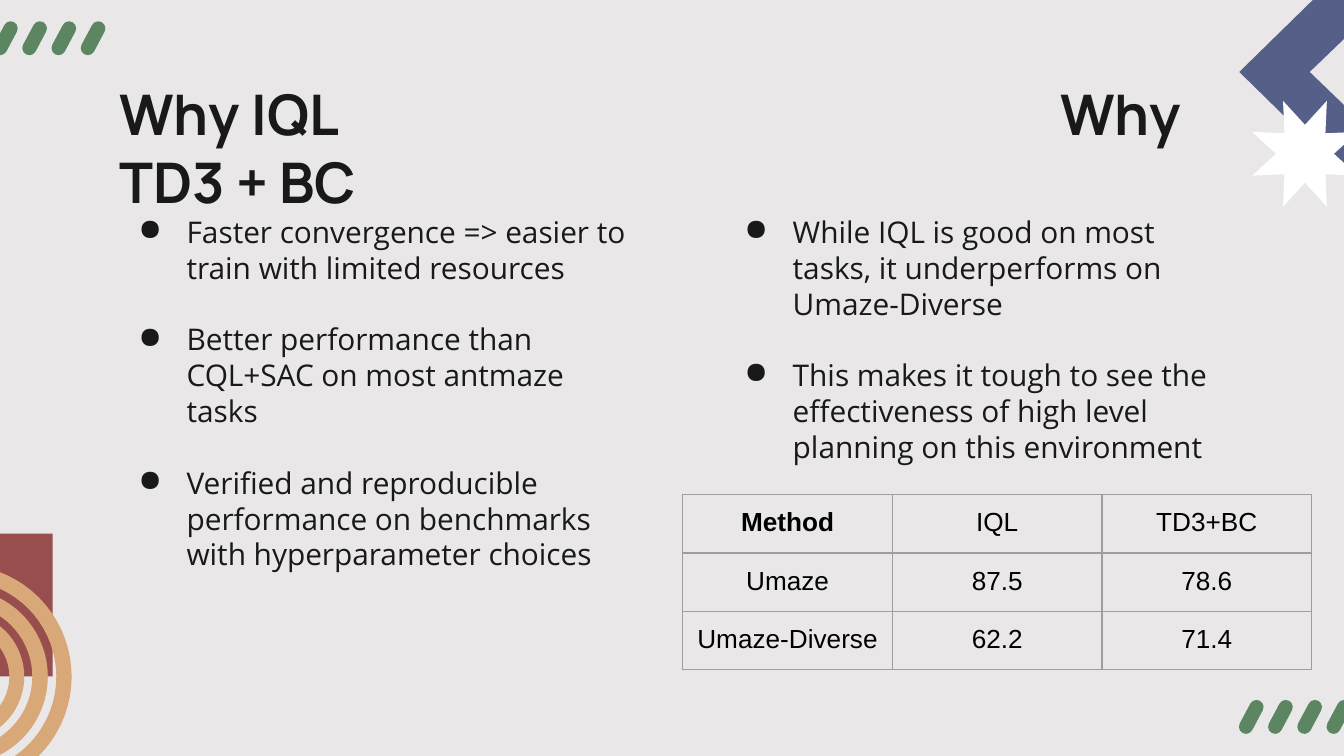
from dataclasses import dataclass
from math import cos, radians, sin

from lxml import etree
from pptx import Presentation
from pptx.dml.color import RGBColor
from pptx.enum import shapes, text
from pptx.oxml import ns
from pptx.util import Pt

INK, GREEN, SAND = "191919", "5C8662", "D8A879"
BLUE, RED, WHITE, BLACK, GREY = "555F88", "974E4D", "FFFFFF", "000000", "9E9E9E"
INSET = 7.2
Point = tuple[float, float]


@dataclass
class BulletList:
    left: float
    width: float
    items: list[str]


@dataclass
class SlashRow:
    first_x: float
    middle_y: float


@dataclass
class HalfRing:
    outer: float
    inner: float


LISTS = [
    BulletList(56.9, 289.4, [
        "Faster convergence => easier to train with limited resources",
        "Better performance than CQL+SAC on most antmaze tasks",
        "Verified and reproducible performance on benchmarks with hyperparameter choices",
    ]),
    BulletList(381.6, 282.2, [
        "While IQL is good on most tasks, it underperforms on Umaze-Diverse",
        "This makes it tough to see the effectiveness of high level planning on this environment",
    ]),
]
SLASHES = [SlashRow(2.9, 20.5), SlashRow(670.3, 384.1)]
RINGS = [HalfRing(60, 51.8), HalfRing(47.2, 38.9), HalfRing(34.6, 26.6)]
SCORES = [
    ["Method", "IQL", "TD3+BC"],
    ["Umaze", "87.5", "78.6"],
    ["Umaze-Diverse", "62.2", "71.4"],
]


def paint(fill, color: str) -> None:
    fill.solid()
    fill.fore_color.rgb = RGBColor.from_string(color)


def finish(shape, color: str) -> None:
    shape.shadow.inherit = False
    paint(shape.fill, color)
    shape.line.fill.background()


def add_element(parent, tag: str, **attributes: str):
    return etree.SubElement(parent, ns.qn(tag), attributes)


def arc(x: float, y: float, rx: float, ry: float, start: int, end: int, step: int) -> list[Point]:
    return [(x + rx * cos(radians(a)), y + ry * sin(radians(a)))
            for a in range(start, end + (1 if step > 0 else -1), step)]


def draw_outline(page, contours: list[list[Point]], color: str) -> None:
    scaled = [[(Pt(x), Pt(y)) for x, y in contour] for contour in contours]
    builder = page.shapes.build_freeform(*scaled[0][0])
    builder.add_line_segments(scaled[0][1:], close=True)
    for contour in scaled[1:]:
        builder.move_to(*contour[0])
        builder.add_line_segments(contour[1:], close=True)
    finish(builder.convert_to_shape(), color)


def draw_ring(page, ring: HalfRing) -> None:
    x, y = -21.6, 362.5
    middle, cap = (ring.outer + ring.inner) / 2, (ring.outer - ring.inner) / 2
    outline = (arc(x, y, ring.outer, ring.outer, -90, 90, 5)
               + arc(x, y + middle, cap, cap, 90, 270, 30)
               + arc(x, y, ring.inner, ring.inner, 90, -90, -5)
               + arc(x, y - middle, cap, cap, 90, 270, 30))
    draw_outline(page, [outline], SAND)


def draw_slashes(page, row: SlashRow) -> None:
    width, height, step = 7.6, 19.6, 15.65
    for index in range(4):
        x = row.first_x + index * step
        slash = page.shapes.add_shape(
            shapes.MSO_SHAPE.ROUNDED_RECTANGLE, Pt(x - width / 2),
            Pt(row.middle_y - height / 2), Pt(width), Pt(height))
        slash.adjustments[0] = 0.5
        slash.rotation = 28
        finish(slash, GREEN)


def add_box(page, left: float, top: float, width: float, height: float):
    box = page.shapes.add_textbox(Pt(left), Pt(top), Pt(width), Pt(height))
    frame = box.text_frame
    frame.word_wrap = True
    frame.vertical_anchor = text.MSO_ANCHOR.TOP
    frame.margin_left = frame.margin_right = Pt(INSET)
    frame.margin_top = frame.margin_bottom = Pt(INSET)
    return frame


def add_span(para, words: str, font: str, size: float, color: str, bold: bool = False) -> None:
    span = para.add_run()
    span.text = words
    span.font.name = font
    span.font.size = Pt(size)
    span.font.bold = bold
    span.font.color.rgb = RGBColor.from_string(color)


def draw_title(page) -> None:
    para = add_box(page, 56.9, 35.3, 607, 45.4).paragraphs[0]
    stops = add_element(para._p.get_or_add_pPr(), "a:tabLst")
    add_element(stops, "a:tab", pos=str(Pt(504)), algn="l")
    para.line_spacing = Pt(36.4)
    add_span(para, "Why IQL \tWhy TD3 + BC", "Manrope", 30, INK, True)


def draw_list(page, bullets: BulletList) -> None:
    line = 19.2
    frame = add_box(page, bullets.left, 107.3, bullets.width, 206.6)
    for index, item in enumerate(bullets.items):
        para = frame.add_paragraph() if index else frame.paragraphs[0]
        props = para._p.get_or_add_pPr()
        props.set("marL", str(Pt(36)))
        props.set("indent", str(Pt(-25.9)))
        add_element(add_element(props, "a:buClr"), "a:srgbClr", val=INK)
        add_element(props, "a:buChar", char="●")
        para.line_spacing = Pt(line)
        if index:
            para.space_before = Pt(line)
        add_span(para, item, "Open Sans", 16, INK)


def set_borders(cell) -> None:
    props = cell._tc.get_or_add_tcPr()
    for index, side in enumerate(("a:lnL", "a:lnR", "a:lnT", "a:lnB")):
        border = add_element(props, side, w=str(Pt(0.75)))
        add_element(add_element(border, "a:solidFill"), "a:srgbClr", val=GREY)
        props.insert(index, border)


def draw_table(page) -> None:
    column, row_height = 112.3, 30.2
    rows, columns = len(SCORES), len(SCORES[0])
    table = page.shapes.add_table(rows, columns, Pt(365.8), Pt(265), Pt(column * columns),
                                  Pt(row_height * rows)).table
    table.first_row = table.horz_banding = False
    for r, values in enumerate(SCORES):
        table.rows[r].height = Pt(row_height)
        for c, value in enumerate(values):
            table.columns[c].width = Pt(column)
            cell = table.cell(r, c)
            cell.margin_left = cell.margin_right = Pt(INSET)
            cell.margin_top = cell.margin_bottom = Pt(INSET)
            cell.fill.background()
            set_borders(cell)
            para = cell.text_frame.paragraphs[0]
            para.alignment = text.PP_ALIGN.CENTER
            add_span(para, value, "Arial", 14, BLACK, r == c == 0)


def main() -> None:
    deck = Presentation()
    deck.slide_width, deck.slide_height = Pt(720), Pt(405)
    page = deck.slides.add_slide(deck.slide_layouts[6])
    paint(page.background.fill, "E9E7E8")

    # Corner diamond with a hole, and the star over it
    draw_outline(page, [arc(730.1, 38.6, 66.2, 64.8, -90, 180, 90),
                        arc(730.1, 38.6, 28.5, 27.4, 0, -270, -90)], BLUE)
    outer = arc(699.1, 82.4, 30.7, 30.7, 0, 315, 45)
    star = []
    for index in range(8):
        for radius, turn in ((15.5, 0), (30.7, 22.5)):
            angle = radians(index * 45 + turn)
            star.append((699.1 + radius * cos(angle), 82.4 + radius * sin(angle)))
    draw_outline(page, [star], WHITE)

    # Lower left block and rings
    block = page.shapes.add_shape(shapes.MSO_SHAPE.RECTANGLE, Pt(-18), Pt(285.9), Pt(46.2), Pt(76.5))
    finish(block, RED)
    for ring in RINGS:
        draw_ring(page, ring)

    # Green slashes
    for row in SLASHES:
        draw_slashes(page, row)

    # Words and scores
    draw_title(page)
    for bullets in LISTS:
        draw_list(page, bullets)
    draw_table(page)
    deck.save("out.pptx")


if __name__ == "__main__":
    main()
